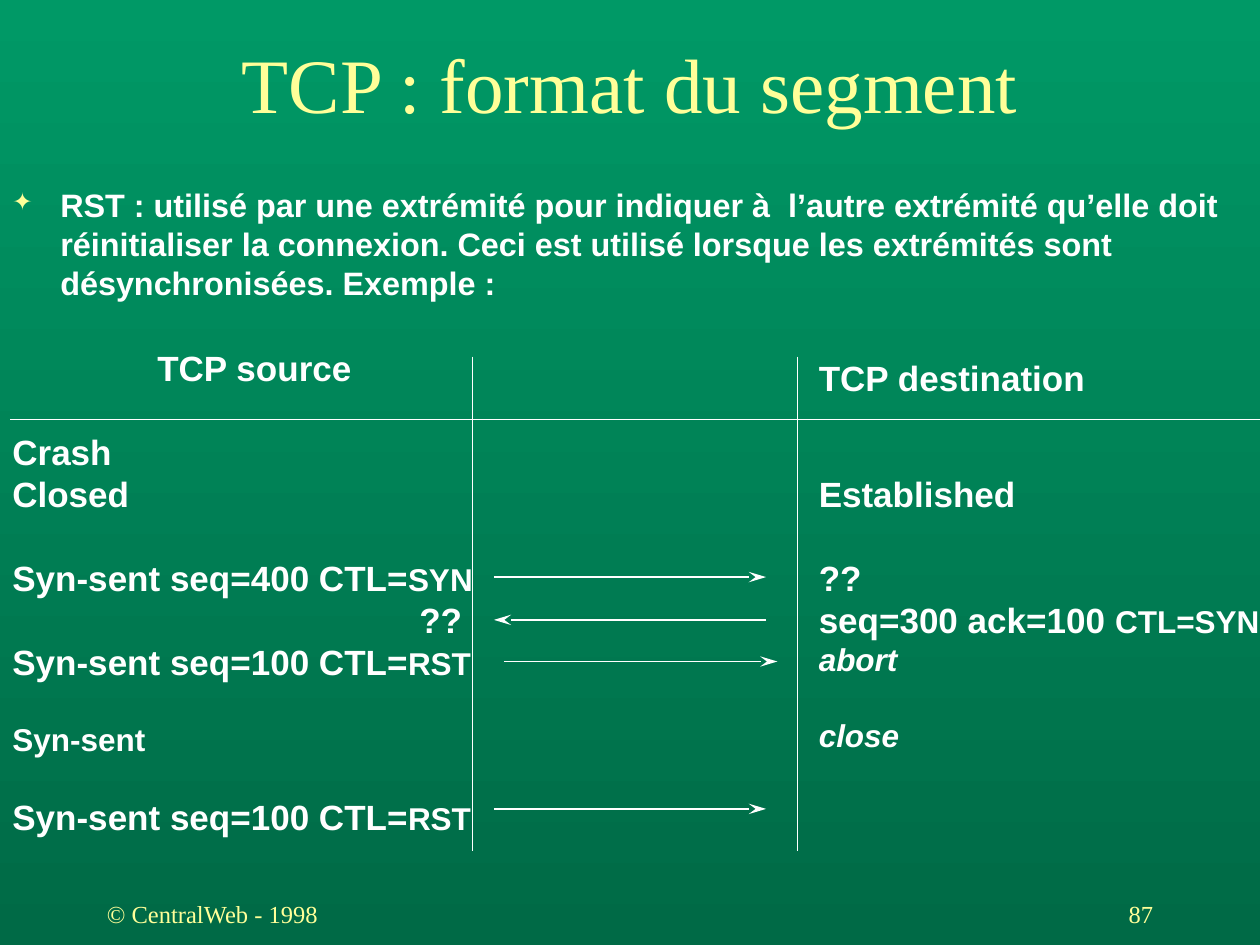
from lxml.etree import SubElement
from pptx import Presentation
from pptx.dml.color import RGBColor
from pptx.enum.shapes import MSO_CONNECTOR
from pptx.enum.text import MSO_ANCHOR, PP_ALIGN
from pptx.oxml.ns import qn
from pptx.util import Inches, Pt

WHITE, YELLOW = "FFFFFF", "FFFF99"
BODY = {"name": "Arial", "size": 20, "bold": True, "color": WHITE}
SMALL = BODY | {"size": 18}
ITALIC = SMALL | {"italic": True}
INTRO = BODY | {"size": 18.5}
TITLE = {"name": "Times New Roman", "size": 44, "color": YELLOW}
FOOTER = TITLE | {"size": 14}

TITLE_TEXT = "TCP : format du segment"
INTRO_TEXT = (
    "RST : utilisé par une extrémité pour indiquer à  l’autre extrémité "
    "qu’elle doit réinitialiser la connexion. Ceci est utilisé lorsque les "
    "extrémités sont désynchronisées. Exemple :"
)
SOURCE = [
    {"runs": [("Crash", BODY)]},
    {"runs": [("Closed", BODY)]},
    {"runs": [("Syn-sent seq=400 CTL=", BODY), ("SYN", SMALL)], "before": 24},
    {"runs": [("??", BODY)], "left": 3.23},
    {"runs": [("Syn-sent seq=100 CTL=", BODY), ("RST", SMALL)]},
    {"runs": [("Syn-sent", SMALL)], "before": 21.5},
    {"runs": [("Syn-sent seq=100 CTL=", BODY), ("RST", SMALL)], "before": 21.5},
]
DESTINATION = [
    {"runs": [("Established", BODY)]},
    {"runs": [("??", BODY)], "before": 24},
    {"runs": [("seq=300 ack=100 ", BODY), ("CTL=SYN", SMALL)]},
    {"runs": [("abort", ITALIC)]},
    {"runs": [("close", ITALIC)], "before": 21.5},
]
TEXTS = [
    ((0, 0.31, 10, 0.69), [{"runs": [(TITLE_TEXT, TITLE)], "align": PP_ALIGN.CENTER}], MSO_ANCHOR.MIDDLE),
    ((0, 1.42, 9.92, 1.08), [{"runs": [(INTRO_TEXT, INTRO)], "left": 0.38, "bullet": "✦"}], MSO_ANCHOR.TOP),
    ((1.15, 2.7, 1.85, 0.43), [{"runs": [("TCP source", BODY)]}], MSO_ANCHOR.TOP),
    ((6.4, 2.78, 2.42, 0.43), [{"runs": [("TCP destination", BODY)]}], MSO_ANCHOR.TOP),
    ((0, 3.37, 4, 3.34), SOURCE, MSO_ANCHOR.TOP),
    ((6.4, 3.7, 3.8, 2.34), DESTINATION, MSO_ANCHOR.TOP),
    ((7.17, 7, 2.08, 0.5), [{"runs": [("87", FOOTER)], "align": PP_ALIGN.RIGHT}], MSO_ANCHOR.MIDDLE),
    ((0.75, 7, 2.08, 0.5), [{"runs": [("© CentralWeb - 1998", FOOTER)]}], MSO_ANCHOR.MIDDLE),
]
RULES = [(0.08, 3.33, 10, 3.33), (3.75, 2.83, 3.75, 6.75), (6.33, 2.83, 6.33, 6.75)]
ARROWS = [(3.92, 6.08, 4.58), (6.08, 3.92, 4.92), (4, 6.17, 5.25), (3.92, 6.08, 6.42)]


def rgb(value):
    """Turn a hex string into a colour."""
    return RGBColor.from_string(value)


def style(font, fmt):
    """Apply a dict of format values to a font."""
    for key, value in fmt.items():
        if key == "color":
            font.color.rgb = rgb(value)
        else:
            setattr(font, key, Pt(value) if key == "size" else value)


def add_bullet(pPr, char):
    """Hang a coloured bullet in the paragraph's left margin."""
    pPr.set("indent", str(-int(pPr.get("marL"))))
    color = SubElement(pPr, qn("a:buClr"))
    SubElement(color, qn("a:srgbClr"), val=YELLOW)
    SubElement(pPr, qn("a:buSzPct"), val="75000")
    SubElement(pPr, qn("a:buChar"), char=char)


def add_text(s, box, paragraphs, anchor):
    """Add a text box with formatted paragraphs."""
    tf = s.shapes.add_textbox(*map(Inches, box)).text_frame
    tf.word_wrap = True
    tf.vertical_anchor = anchor
    for i, item in enumerate(paragraphs):
        p = tf.add_paragraph() if i else tf.paragraphs[0]
        p.alignment = item.get("align", PP_ALIGN.LEFT)
        if "before" in item:
            p.space_before = Pt(item["before"])
        pPr = p._p.get_or_add_pPr()
        if "left" in item:
            pPr.set("marL", str(Inches(item["left"])))
        if "bullet" in item:
            add_bullet(pPr, item["bullet"])
        for text, fmt in item["runs"]:
            r = p.add_run()
            r.text = text
            style(r.font, fmt)


def add_line(s, ends, arrow=False):
    """Add a thin white line, with an arrowhead if asked."""
    line = s.shapes.add_connector(MSO_CONNECTOR.STRAIGHT, *map(Inches, ends))
    line.line.color.rgb = rgb(WHITE)
    line.line.width = Pt(1)
    if arrow:
        SubElement(line.line._get_or_add_ln(), qn("a:tailEnd"), type="stealth", w="med", len="lg")
    SubElement(line._element.spPr, qn("a:effectLst"))


def main():
    """Build the slide and save it."""
    prs = Presentation()
    prs.slide_width, prs.slide_height = Inches(10), Inches(7.5)
    s = prs.slides.add_slide(prs.slide_layouts[6])
    fill = s.background.fill
    fill.gradient()
    fill.gradient_angle = 270
    for stop, color in zip(fill.gradient_stops, ("009966", "006A46")):
        stop.color.rgb = rgb(color)
    for box, paragraphs, anchor in TEXTS:
        add_text(s, box, paragraphs, anchor)
    for ends in RULES:
        add_line(s, ends)
    for start, end, y in ARROWS:
        add_line(s, (start, y, end, y), arrow=True)
    prs.save("out.pptx")


if __name__ == "__main__":
    main()
